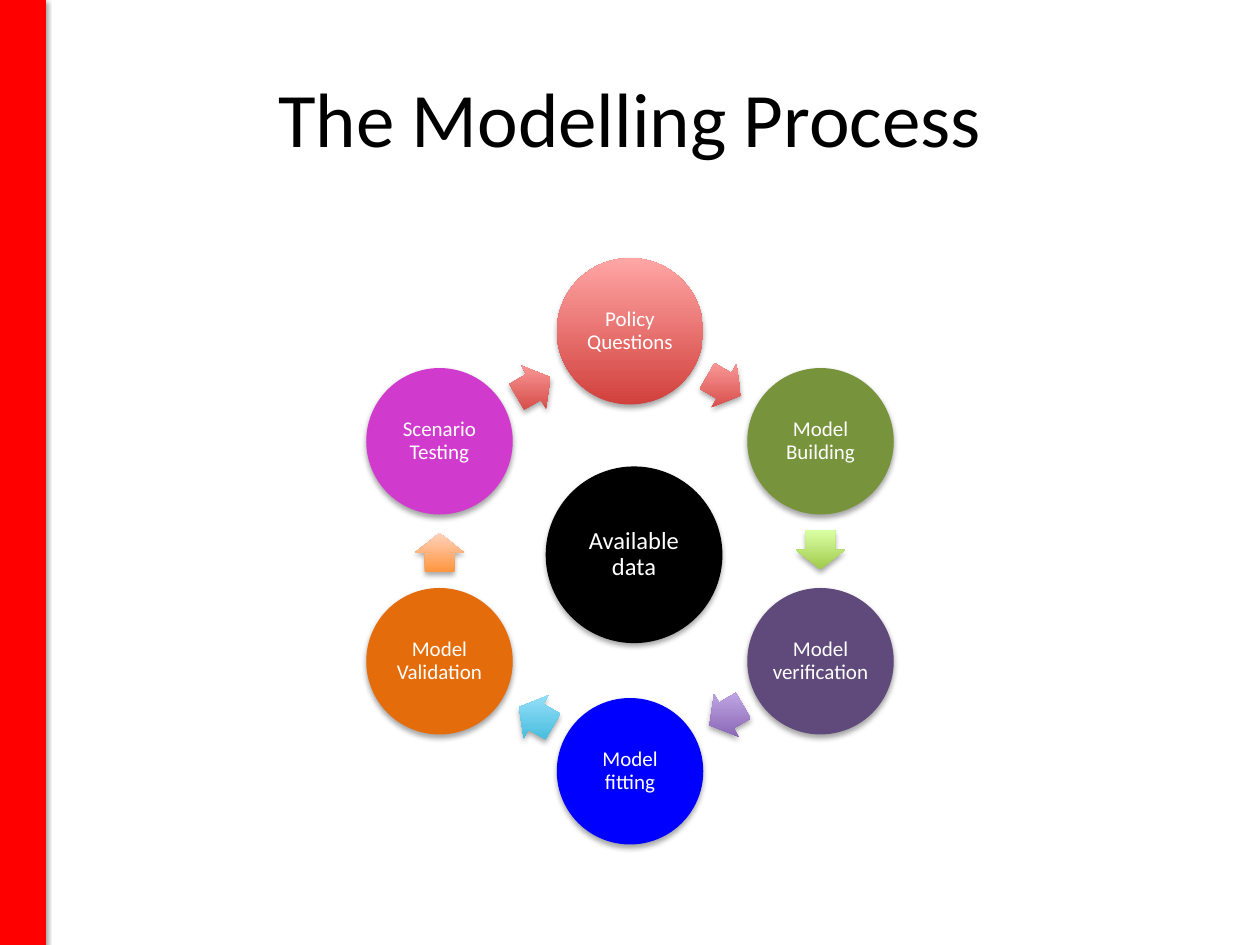
import math

from lxml import etree
from pptx import Presentation
from pptx.dml.color import RGBColor
from pptx.enum import shapes, text
from pptx.oxml import parse_xml
from pptx.oxml.ns import nsdecls, qn
from pptx.util import Pt

COLORS = {
    "bar": "FF0000", "black": "000000", "white": "FFFFFF",
    "green": "77933C", "purple": "604A7B", "blue": "0000FF",
    "orange": "E46C0A", "magenta": "D13BCD",
    "red dark": "D1403C", "red light": "FFA6A5",
    "lime dark": "A0CA4A", "lime light": "DAFFA5",
    "violet dark": "7F5BAB", "violet light": "C8B0ED",
    "aqua dark": "39B7D8", "aqua light": "A7E6FF",
    "peach dark": "FF953E", "peach light": "FFD2BD",
}
RGB = {name: RGBColor.from_string(value) for name, value in COLORS.items()}
SHADOW = (
    f'<a:outerShdw {nsdecls("a")} blurRad="40000" dist="23000" dir="5400000" rotWithShape="0">'
    '<a:srgbClr val="000000"><a:alpha val="35000"/></a:srgbClr></a:outerShdw>'
)


def add_shadowed(kind, center_x, center_y, width, height, fill):
    """Add a borderless shape about its centre; a (bottom, top) fill is a vertical gradient."""
    shape = slide.shapes.add_shape(
        kind, Pt(center_x - width / 2), Pt(center_y - height / 2), Pt(width), Pt(height))
    if isinstance(fill, tuple):
        shape.fill.gradient()
        shape.fill.gradient_angle = 90
        for stop, name in zip(shape.fill.gradient_stops, fill):
            stop.color.rgb = RGB[name]
        shape._element.spPr.find(qn("a:gradFill")).set("rotWithShape", "0")
    else:
        shape.fill.solid()
        shape.fill.fore_color.rgb = RGB[fill]
    shape.line.fill.background()
    shape.shadow.inherit = False
    shape._element.spPr.find(qn("a:effectLst")).append(parse_xml(SHADOW))
    return shape


def write_label(shape, label, size):
    frame = shape.text_frame
    frame.text = label
    frame.word_wrap = True
    frame.vertical_anchor = text.MSO_ANCHOR.MIDDLE
    frame.margin_left = frame.margin_right = frame.margin_top = frame.margin_bottom = Pt(1.2)
    paragraph = frame.paragraphs[0]
    paragraph.alignment = text.PP_ALIGN.CENTER
    paragraph.line_spacing = 0.9
    font = paragraph.runs[0].font
    font.name, font.size = "Calibri", Pt(size)
    font.color.rgb = RGB["white"]


presentation = Presentation()
presentation.slide_width, presentation.slide_height = Pt(720), Pt(540)
slide = presentation.slides.add_slide(presentation.slide_layouts[5])

# Side bar
bar = add_shadowed(shapes.MSO_SHAPE.RECTANGLE, 13, 270, 26, 540, "bar")
bar.line.color.rgb = RGB["bar"]
bar.line.width = Pt(0.75)

# Title
title = slide.shapes.title
title.left, title.top, title.width, title.height = Pt(36), Pt(21.6), Pt(648), Pt(90)
title.text_frame.text = "The Modelling Process"
title.text_frame.vertical_anchor = text.MSO_ANCHOR.MIDDLE
title_paragraph = title.text_frame.paragraphs[0]
title_paragraph.alignment = text.PP_ALIGN.CENTER
title_font = title_paragraph.runs[0].font
title_font.name, title_font.size = "Calibri", Pt(44)
title_font.color.rgb = RGB["black"]

# Cycle: steps clockwise from the top, each followed by an arrow to the next
CENTER_X, CENTER_Y = 360, 315
STEP_RADIUS, ARROW_RADIUS = 125.7, 108.8
ARROW_LAG = 0.4  # degrees
red = ("red dark", "red light")
steps = [
    ("Policy Questions", red, red),
    ("Model Building", "green", ("lime dark", "lime light")),
    ("Model verification", "purple", ("violet dark", "violet light")),
    ("Model fitting", "blue", ("aqua dark", "aqua light")),
    ("Model Validation", "orange", ("peach dark", "peach light")),
    ("Scenario Testing", "magenta", red),
]
turn = 360 / len(steps)
for index, (label, step_fill, arrow_fill) in enumerate(steps):
    angle = math.radians(index * turn)
    circle = add_shadowed(
        shapes.MSO_SHAPE.OVAL,
        CENTER_X + STEP_RADIUS * math.sin(angle), CENTER_Y - STEP_RADIUS * math.cos(angle),
        83.7, 83.7, step_fill)
    write_label(circle, label, 12)

    heading = (index + 0.5) * turn
    angle = math.radians(heading - ARROW_LAG)
    arrow = add_shadowed(
        shapes.MSO_SHAPE.RIGHT_ARROW,
        CENTER_X + ARROW_RADIUS * math.sin(angle), CENTER_Y - ARROW_RADIUS * math.cos(angle),
        22.3, 28.2, arrow_fill)
    arrow.adjustments[0], arrow.adjustments[1] = 0.6, 0.5
    arrow.rotation = heading

# Hub
hub = add_shadowed(shapes.MSO_SHAPE.OVAL, 362.3, 317, 101, 101, "black")
write_label(hub, "Available data", 14)

presentation.save("out.pptx")
